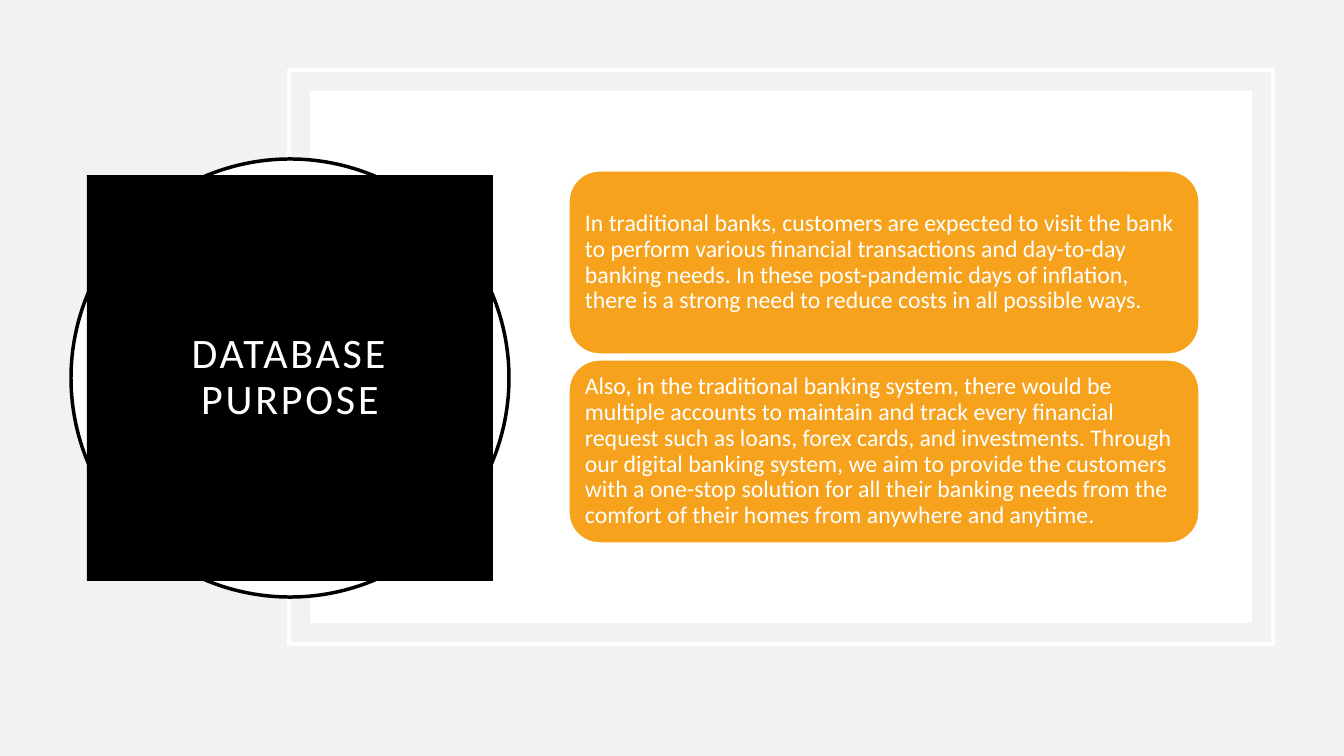
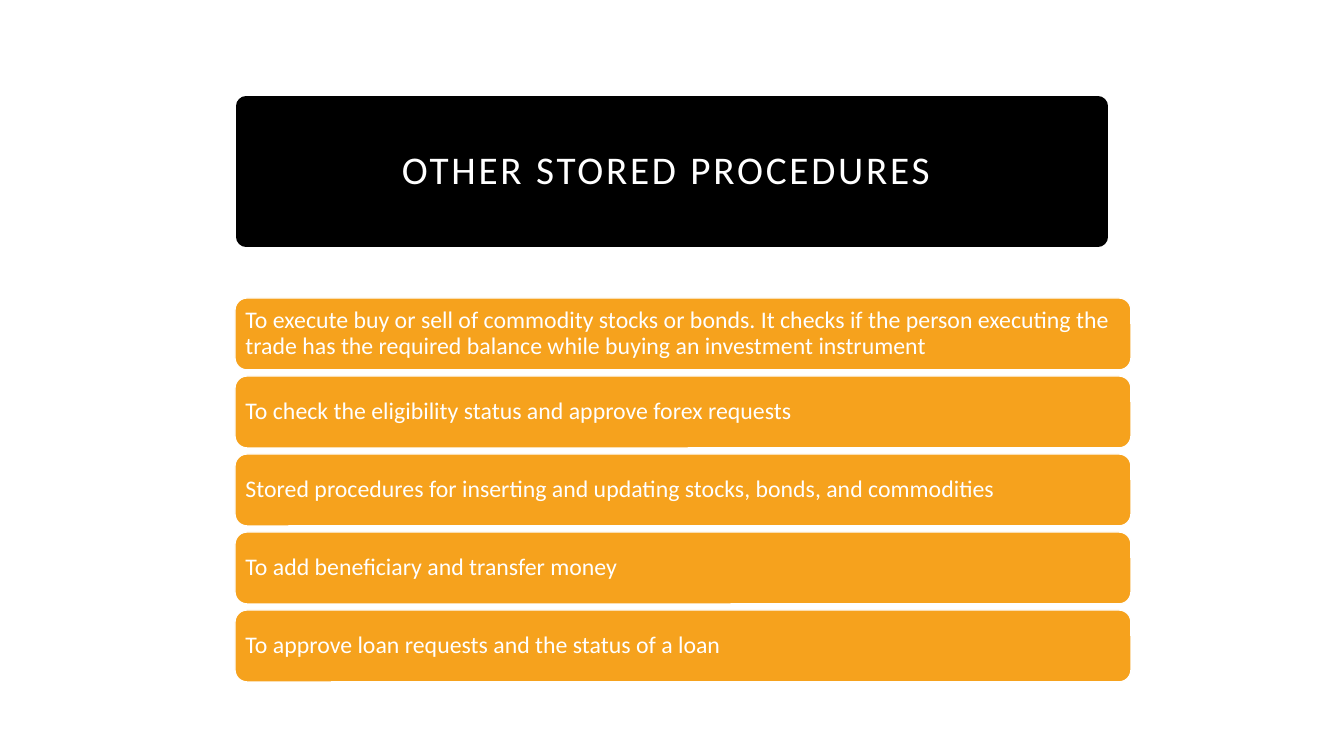
from dataclasses import dataclass
from typing import Optional

from pptx import Presentation
from pptx.dml.color import RGBColor
from pptx.enum.shapes import MSO_SHAPE
from pptx.enum.text import MSO_ANCHOR, PP_ALIGN
from pptx.shapes.autoshape import Shape
from pptx.slide import Slide
from pptx.util import Emu, Pt

EMU_PER_PX = 12192000 / 1344
SLIDE_WIDTH, SLIDE_HEIGHT = 1344, 756
FONT = "Calibri"
LINE_SPACING = 0.9
COLORS = {
    "white": "FFFFFF",
    "black": "000000",
    "backdrop": "F2F2F2",
    "card": "F6A21D",
}


@dataclass(frozen=True)
class Box:
    left: int
    top: int
    width: int
    height: int


@dataclass(frozen=True)
class TextStyle:
    size: int
    margin: int
    align: PP_ALIGN
    tracking: int = 0  # hundredths of a point


@dataclass(frozen=True)
class CardStack:
    first: Box
    pitch: int
    texts: tuple[str, ...]


CARD_TEXT = TextStyle(17, 7, PP_ALIGN.LEFT)
SQUARE_TITLE = TextStyle(30, 20, PP_ALIGN.CENTER, 200)
BAND_TITLE = TextStyle(28, 20, PP_ALIGN.CENTER, 200)

PURPOSE_CARDS = CardStack(
    Box(569, 171, 630, 183),
    189,
    (
        "In traditional banks, customers are expected to visit the bank to perform "
        "various financial transactions and day-to-day banking needs. In these "
        "post-pandemic days of inflation, there is a strong need to reduce costs in "
        "all possible ways.",
        "Also, in the traditional banking system, there would be multiple accounts to "
        "maintain and track every financial request such as loans, forex cards, and "
        "investments. Through our digital banking system, we aim to provide the "
        "customers with a one-stop solution for all their banking needs from the "
        "comfort of their homes from anywhere and anytime.",
    ),
)
PROCEDURE_CARDS = CardStack(
    Box(235, 298, 896, 72),
    78,
    (
        "To execute buy or sell of commodity stocks or bonds. It checks if the person "
        "executing the trade has the required balance while buying an investment "
        "instrument",
        "To check the eligibility status and approve forex requests",
        "Stored procedures for inserting and updating stocks, bonds, and commodities",
        "To add beneficiary and transfer money",
        "To approve loan requests and the status of a loan",
    ),
)


def px(length: int) -> Emu:
    return Emu(round(length * EMU_PER_PX))


def color(name: str) -> RGBColor:
    return RGBColor.from_string(COLORS[name])


def add_box(
    slide: Slide,
    kind: MSO_SHAPE,
    box: Box,
    fill: Optional[str] = None,
    line: Optional[str] = None,
    line_width: float = 1,
) -> Shape:
    shape = slide.shapes.add_shape(
        kind, px(box.left), px(box.top), px(box.width), px(box.height)
    )
    shape.shadow.inherit = False
    if fill:
        shape.fill.solid()
        shape.fill.fore_color.rgb = color(fill)
    else:
        shape.fill.background()
    if line:
        shape.line.color.rgb = color(line)
        shape.line.width = Pt(line_width)
    else:
        shape.line.fill.background()
    return shape


def write_text(shape: Shape, text: str, style: TextStyle) -> None:
    frame = shape.text_frame
    frame.word_wrap = True
    frame.vertical_anchor = MSO_ANCHOR.MIDDLE
    frame.margin_left = frame.margin_right = px(style.margin)
    frame.margin_top = frame.margin_bottom = px(style.margin)
    paragraph = frame.paragraphs[0]
    paragraph.alignment = style.align
    paragraph.line_spacing = LINE_SPACING
    run = paragraph.add_run()
    run.text = text
    run.font.name = FONT
    run.font.size = Pt(style.size)
    run.font.color.rgb = color("white")
    if style.tracking:
        run._r.get_or_add_rPr().set("spc", str(style.tracking))


def add_cards(slide: Slide, stack: CardStack) -> None:
    first = stack.first
    for index, text in enumerate(stack.texts):
        box = Box(first.left, first.top + index * stack.pitch, first.width, first.height)
        card = add_box(slide, MSO_SHAPE.ROUNDED_RECTANGLE, box, "card", "white")
        write_text(card, text, CARD_TEXT)


def add_slide(presentation: Presentation, background: str) -> Slide:
    slide = presentation.slides.add_slide(presentation.slide_layouts[6])
    slide.background.fill.solid()
    slide.background.fill.fore_color.rgb = color(background)
    return slide


def build_purpose_slide(presentation: Presentation) -> None:
    slide = add_slide(presentation, "backdrop")
    add_box(slide, MSO_SHAPE.RECTANGLE, Box(289, 70, 984, 574), None, "white", 2.5)
    add_box(slide, MSO_SHAPE.RECTANGLE, Box(310, 91, 942, 532), "white")
    add_box(slide, MSO_SHAPE.OVAL, Box(71, 159, 438, 438), "white", "black", 2.5)
    title = add_box(slide, MSO_SHAPE.RECTANGLE, Box(87, 175, 406, 406), "black")
    write_text(title, "DATABASE PURPOSE", SQUARE_TITLE)
    add_cards(slide, PURPOSE_CARDS)


def build_procedures_slide(presentation: Presentation) -> None:
    slide = add_slide(presentation, "white")
    title = add_box(
        slide, MSO_SHAPE.RECTANGLE, Box(246, 106, 852, 131), "black", "black", 14
    )
    write_text(title, "OTHER STORED PROCEDURES ", BAND_TITLE)
    add_cards(slide, PROCEDURE_CARDS)


def main() -> None:
    presentation = Presentation()
    presentation.slide_width = px(SLIDE_WIDTH)
    presentation.slide_height = px(SLIDE_HEIGHT)
    build_purpose_slide(presentation)
    build_procedures_slide(presentation)
    presentation.save("out.pptx")


if __name__ == "__main__":
    main()
